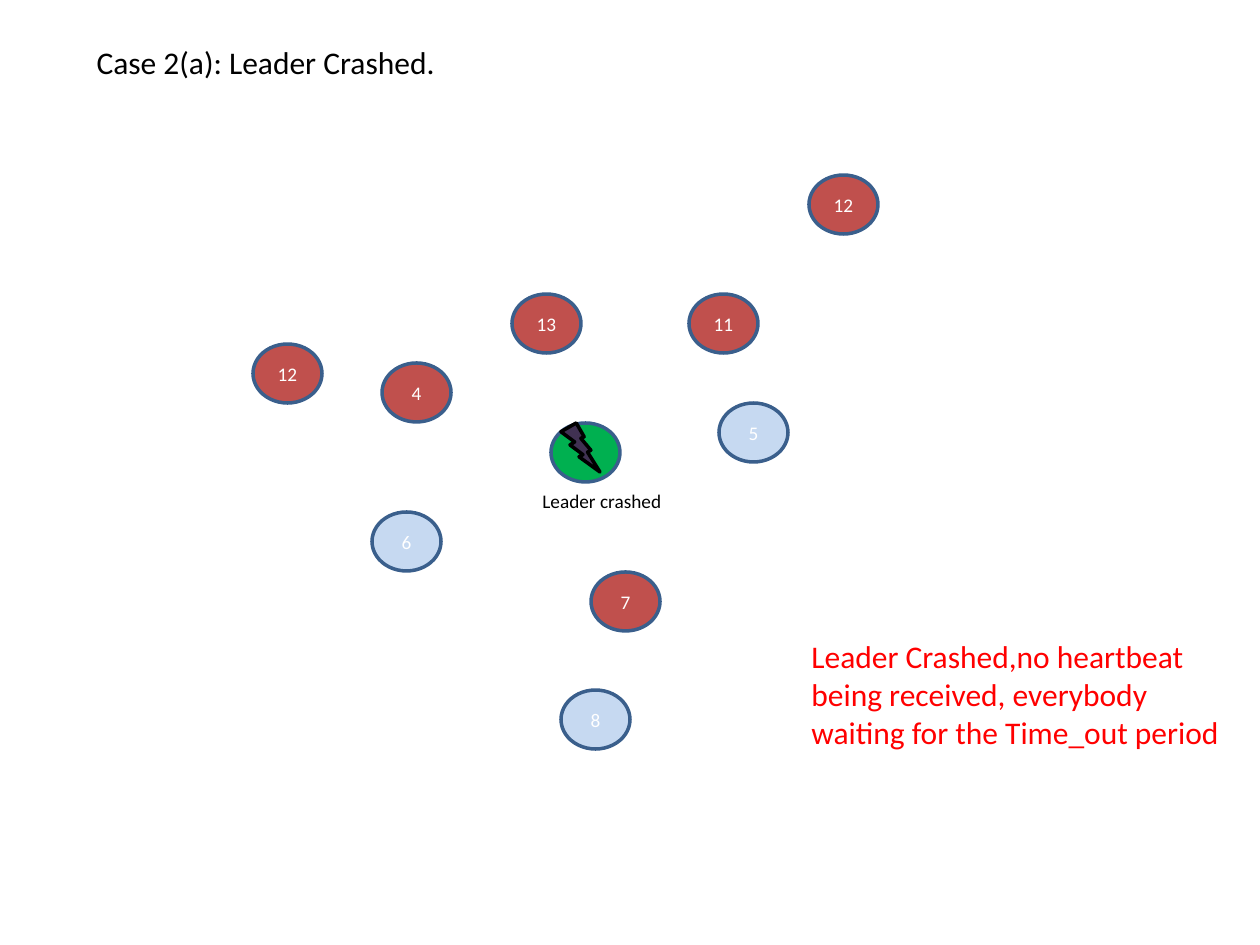
from pptx import Presentation
from pptx.dml.color import RGBColor
from pptx.enum.shapes import MSO_SHAPE as Preset
from pptx.enum.text import MSO_ANCHOR as Anchor, PP_ALIGN as Align
from pptx.util import Emu, Pt

PX = 914400 / 126
FONT = "Calibri"
COLORS = {
    "red": "C0504D", "pale": "C6D9F1", "leader": "00B050", "rim": "3A5F8C",
    "bolt": "403152", "black": "000000", "white": "FFFFFF", "alert": "FF0000",
}
NODE_SIZE = (69, 59)
# Label, fill, left and top inside the network box
NODES = [
    ("13", "red", 259, 119),
    ("11", "red", 436, 119),
    ("4", "red", 129, 188),
    ("8", "pale", 308, 515),
    ("5", "pale", 466, 228),
    ("", "leader", 298, 248),
    ("7", "red", 338, 397),
    ("6", "pale", 119, 337),
    ("12", "red", 0, 169),
    ("12", "red", 556, 0),
]


def color(key):
    return RGBColor.from_string(COLORS[key])


def emu(*lengths):
    return [Emu(round(length * PX)) for length in lengths]


def write(frame, text, size, key, align=Align.LEFT, anchor=Anchor.TOP):
    frame.word_wrap = True
    frame.vertical_anchor = anchor
    paragraph = frame.paragraphs[0]
    paragraph.alignment = align
    run = paragraph.add_run()
    run.text = text
    run.font.name = FONT
    run.font.size = Pt(size)
    run.font.color.rgb = color(key)


def add_preset(slide, preset, box, fill, line):
    shape = slide.shapes.add_shape(preset, *emu(*box))
    shape.shadow.inherit = False
    shape.fill.solid()
    shape.fill.fore_color.rgb = color(fill)
    shape.line.color.rgb = color(line)
    shape.line.width = Pt(2)
    return shape


def add_note(slide, box, text, size, key):
    note = slide.shapes.add_textbox(*emu(*box))
    write(note.text_frame, text, size, key)


def add_title(slide, box):
    title = slide.shapes.title
    title.left, title.top, title.width, title.height = emu(*box)
    write(title.text_frame, "Case 2(a): Leader Crashed.", 18, "black")


def add_network(slide, left, top):
    """Places the nodes, the crashed leader's bolt and its caption."""
    for label, fill, x, y in NODES:
        node = add_preset(slide, Preset.FLOWCHART_CONNECTOR,
                          (left + x, top + y, *NODE_SIZE), fill, "rim")
        if label:
            write(node.text_frame, label, 11, "white", Align.CENTER, Anchor.MIDDLE)
    add_preset(slide, Preset.LIGHTNING_BOLT, (left + 308, top + 248, 39, 49),
               "bolt", "black")
    add_note(slide, (left + 277, top + 308, 228, 37), "Leader crashed", 11, "black")


def main():
    deck = Presentation()
    deck.slide_width, deck.slide_height = emu(1260, 945)
    slide = deck.slides.add_slide(deck.slide_layouts[5])
    add_title(slide, (84, 37, 566, 50))
    add_network(slide, 253, 175)
    add_note(slide, (799, 631, 461, 150),
             "Leader Crashed,no heartbeat being received, "
             "everybody waiting for the Time_out period", 18, "alert")
    deck.save("out.pptx")


if __name__ == "__main__":
    main()
